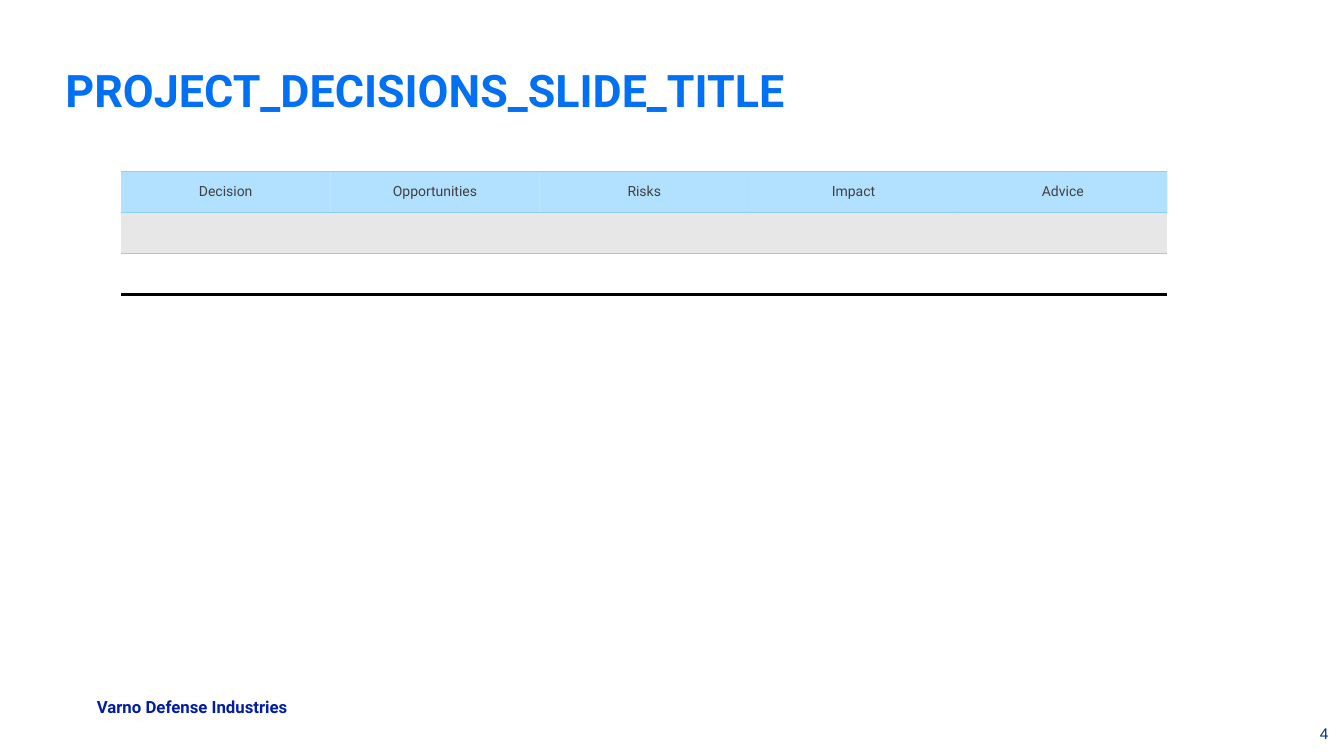
from lxml.etree import SubElement
from pptx import Presentation
from pptx.dml.color import RGBColor
from pptx.enum.text import MSO_ANCHOR, PP_ALIGN
from pptx.oxml.ns import qn
from pptx.util import Cm, Pt

BLUE = RGBColor(0x01, 0x70, 0xF2)
NAVY = RGBColor(0x00, 0x1D, 0xA4)
PAGE_BLUE = RGBColor(0x00, 0x2A, 0x86)
SKY = RGBColor(0x89, 0xD2, 0xFF)
RULE_BLUE = RGBColor(0x88, 0xD0, 0xFF)
GREY = RGBColor(0xE7, 0xE7, 0xE7)
WHITE = RGBColor(0xFF, 0xFF, 0xFF)
BLACK = RGBColor(0x00, 0x00, 0x00)
DARK = RGBColor(0x40, 0x40, 0x40)

PLAIN_TABLE = "{2D5ABB26-0587-4C30-8999-92F81FD0307C}"
HEADINGS = ["Decision", "Opportunities", "Risks", "Impact", "Advice"]
# fill, opacity in percent, top rule, bottom rule (colour, points)
ROWS = [
    (SKY, 65, (SKY, 0.75), (RULE_BLUE, 1)),
    (GREY, 100, (RULE_BLUE, 1), (RULE_BLUE, 1)),
    (WHITE, 100, (RULE_BLUE, 1), (BLACK, 2)),
]


class SlideBuilder:
    def __init__(self, slide, font="Roboto"):
        self.slide = slide
        self.font = font

    def style(self, p, size, color, bold=False, align=PP_ALIGN.LEFT, font=None):
        p.alignment = align
        for r in p.runs:
            r.font.name = font or self.font
            r.font.size = Pt(size)
            r.font.bold = bold
            r.font.color.rgb = color

    def text(self, text, box, size, color, inset=(0, 0), anchor=MSO_ANCHOR.TOP, **style):
        sp = self.slide.shapes.add_textbox(*map(Cm, box))
        tf = sp.text_frame
        tf.word_wrap = True
        tf.vertical_anchor = anchor
        tf.margin_left = tf.margin_right = Cm(inset[0])
        tf.margin_top = tf.margin_bottom = Cm(inset[1])
        tf.text = text
        self.style(tf.paragraphs[0], size, color, **style)

    def rule(self, cell, side, color, width):
        """Draw one horizontal cell border; call before the fill is set."""
        ln = SubElement(cell._tc.get_or_add_tcPr(), qn(f"a:ln{side}"), w=str(Pt(width)))
        SubElement(SubElement(ln, qn("a:solidFill")), qn("a:srgbClr"), val=str(color))

    def fill(self, cell, color, opacity):
        cell.fill.solid()
        cell.fill.fore_color.rgb = color
        if opacity < 100:
            clr = cell._tc.tcPr.find(qn("a:solidFill")).find(qn("a:srgbClr"))
            SubElement(clr, qn("a:alpha"), val=str(opacity * 1000))

    def table(self, headings, rows, box):
        frame = self.slide.shapes.add_table(len(rows), len(headings), *map(Cm, box))
        table = frame.table
        table._tbl.tblPr.find(qn("a:tableStyleId")).text = PLAIN_TABLE
        for i, (color, opacity, top, bottom) in enumerate(rows):
            for cell in table.rows[i].cells:
                self.rule(cell, "T", *top)
                self.rule(cell, "B", *bottom)
                self.fill(cell, color, opacity)
        for cell, heading in zip(table.rows[0].cells, headings):
            cell.vertical_anchor = MSO_ANCHOR.MIDDLE
            cell.text = heading
            self.style(cell.text_frame.paragraphs[0], 10, DARK, align=PP_ALIGN.CENTER)


def main():
    prs = Presentation()
    prs.slide_width, prs.slide_height = Cm(33.87), Cm(19.05)
    s = SlideBuilder(prs.slides.add_slide(prs.slide_layouts[6]))
    s.text("4", (32.69, 17.96, 1.04, 1.02), 11, PAGE_BLUE, inset=(0.25, 0.13),
           anchor=MSO_ANCHOR.MIDDLE, align=PP_ALIGN.RIGHT, font="Arial")
    s.text("Varno Defense Industries", (2.44, 17.55, 5.28, 0.51), 12, NAVY, bold=True)
    s.text("PROJECT_DECISIONS_SLIDE_TITLE", (1.65, 1.57, 30.53, 1.37), 32, BLUE, bold=True)
    s.table(HEADINGS, ROWS, (3.05, 4.32, 26.37, 3.1))
    prs.save("out.pptx")


if __name__ == "__main__":
    main()
